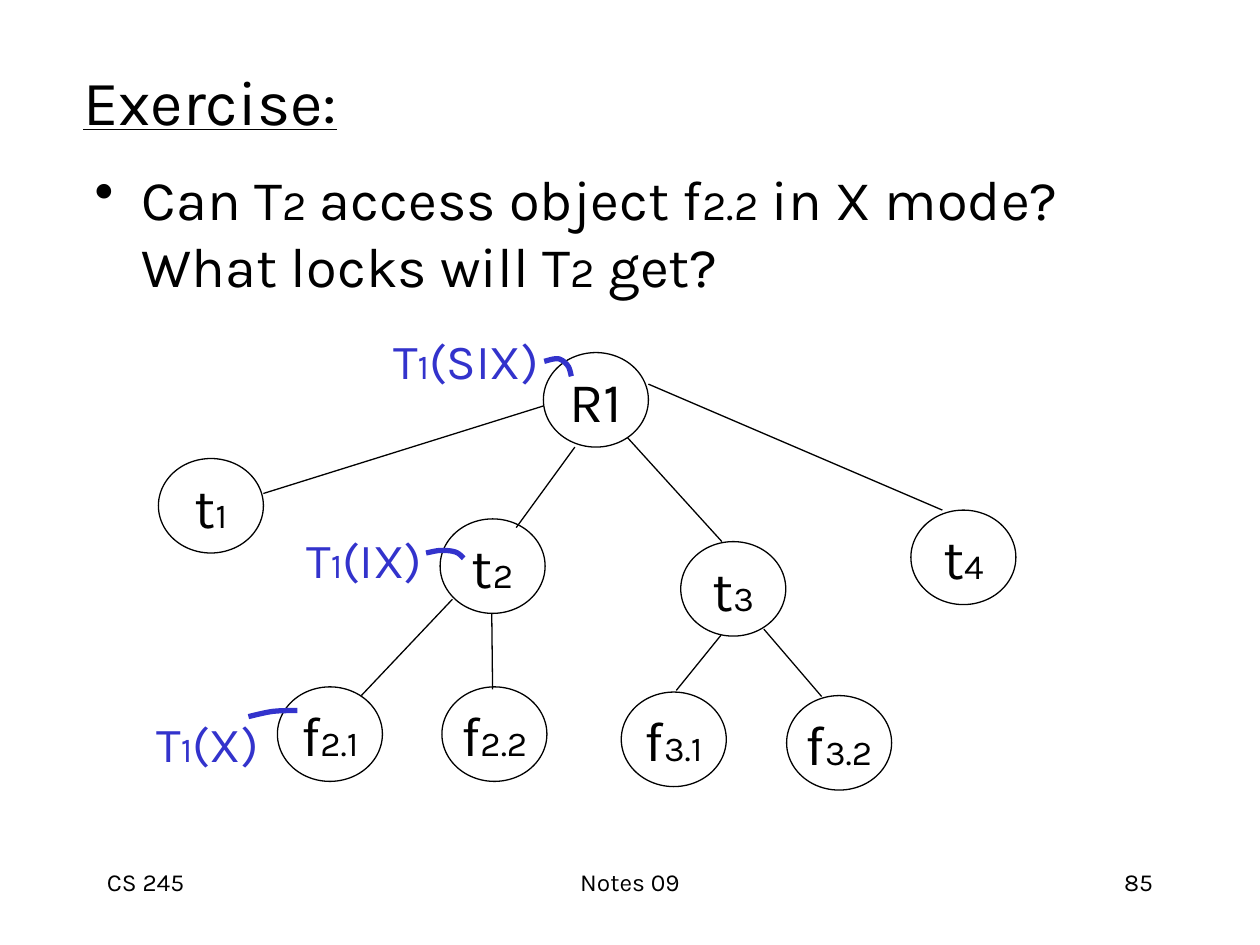
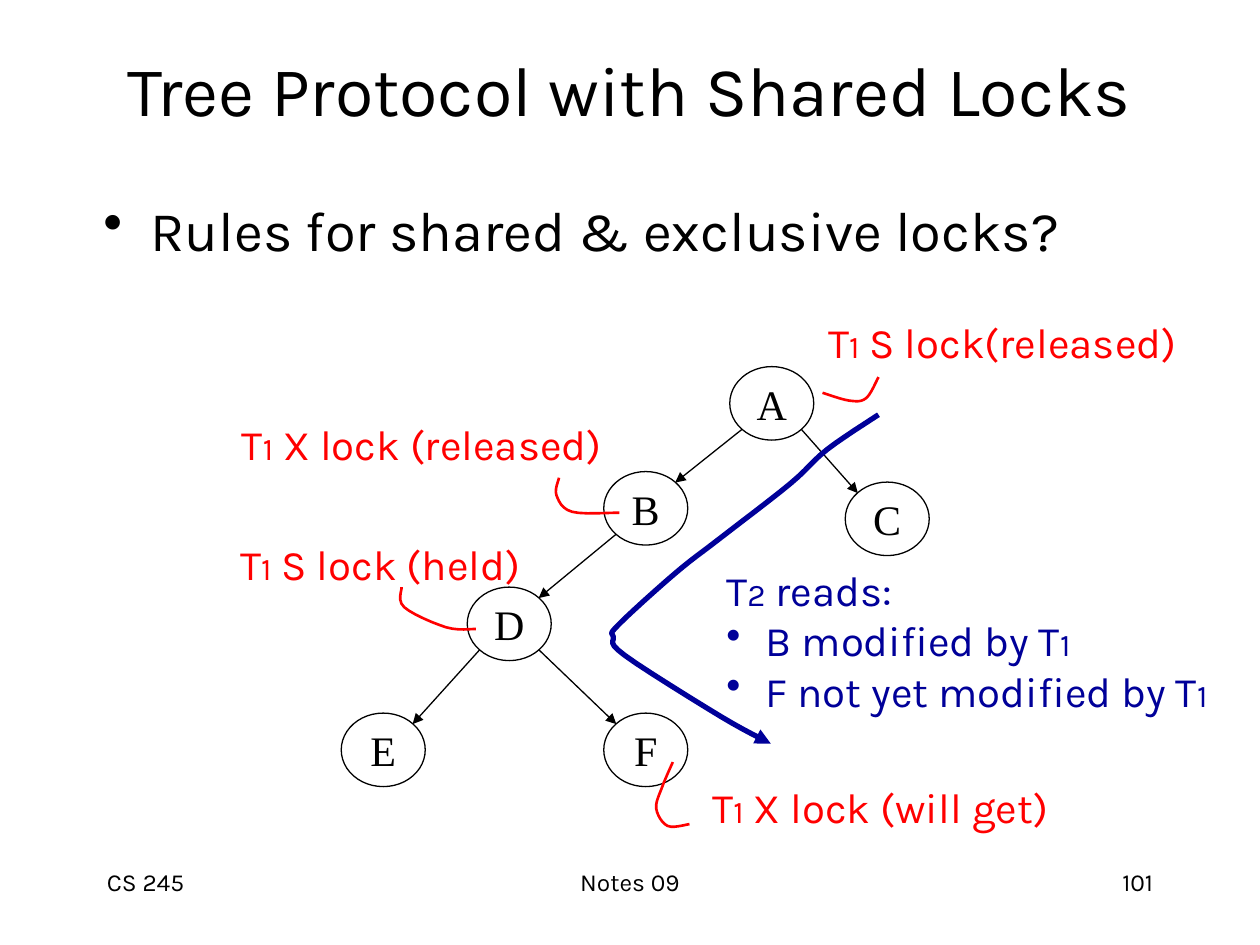
from lxml.etree import SubElement
from pptx import Presentation
from pptx.dml.color import RGBColor
from pptx.enum.shapes import MSO_CONNECTOR, MSO_SHAPE
from pptx.enum.text import MSO_ANCHOR, PP_ALIGN
from pptx.oxml.ns import qn
from pptx.util import Pt

BLACK, WHITE, BLUE, RED, NAVY = "000000", "FFFFFF", "3333CC", "FF0000", "000099"
SANS, SERIF = "Karla", "Times New Roman"
LEFT, CENTER, RIGHT = PP_ALIGN.LEFT, PP_ALIGN.CENTER, PP_ALIGN.RIGHT
TOP, MIDDLE = MSO_ANCHOR.TOP, MSO_ANCHOR.MIDDLE
CURVE_STEPS = 6


def write_text(shape, lines, size, small=0, color=BLACK, font=SANS, align=LEFT,
               anchor=TOP, wrap=True, hang=0, underline=False):
    frame = shape.text_frame
    frame.word_wrap = wrap
    frame.vertical_anchor = anchor
    for index, line in enumerate(lines):
        para = frame.add_paragraph() if index else frame.paragraphs[0]
        para.alignment = align
        if line.startswith("•"):
            line = line[1:]
            properties = para._p.get_or_add_pPr()
            properties.set("marL", str(Pt(hang)))
            properties.set("indent", str(-Pt(hang)))
            SubElement(properties, qn("a:buChar"), char="•")
        for position, text in enumerate(line.split("|")):
            if text:
                span = para.add_run()
                span.text = text
                span.font.name = font
                span.font.size = Pt(small if position % 2 else size)
                span.font.underline = underline
                span.font.color.rgb = RGBColor.from_string(color)


def style_line(shape, color, width, arrow=False):
    shape.line.color.rgb = RGBColor.from_string(color)
    shape.line.width = Pt(width)
    properties = shape._element.spPr
    if arrow:
        SubElement(properties.find(qn("a:ln")), qn("a:tailEnd"), type="triangle")
    if properties.find(qn("a:effectLst")) is None:
        SubElement(properties, qn("a:effectLst"))


lock_exercise = {
    "title": ("Exercise:", (40.5, 31.5, 612, 52), 36, LEFT, True),
    "body": ("•Can T|2| access object f|2.2| in X mode? What locks will T|2| get?",
             (47, 90.5, 612, 90)),
    "number": "85",
    "node_style": (60, 54, 32, 20, SANS),
    "nodes": {
        "R1": (310.5, 201.5), "t|1": (90.5, 262), "t|2": (251.5, 296.5),
        "t|3": (389, 309.5), "t|4": (520.5, 291.5), "f|2.1": (158.5, 392.5),
        "f|2.2": (252.5, 392.5), "f|3.1": (355, 395.5), "f|3.2": (449.5, 397.5),
    },
    "plain_edges": [
        (310.5, 232, 150.5, 282), (328.5, 255.5, 295, 301.5),
        (358.5, 250, 412.5, 309.5), (370.5, 219.5, 538.5, 291.5),
        (258.5, 342.5, 206.5, 397.5), (281, 350.5, 281.5, 394),
        (412, 363, 386.5, 394.5), (436.5, 359.5, 469.5, 398),
    ],
    "arrow_edges": [],
    "label_style": (28, 20, BLUE, 41),
    "labels": [
        ("T|1|(SIX)", 216.5, 185, 99.5),
        ("T|1|(IX)", 166.5, 299, 83.5),
        ("T|1|(X)", 81.5, 404, 74),
    ],
    "strokes": [
        (BLUE, 3, False, [(311, 206.5), (319, 205), (324.5, 209), (326.5, 215)]),
        (BLUE, 3, False, [(243.5, 316), (252, 314.5), (260.5, 315.5), (265, 319)]),
        (BLUE, 3, False, [(142, 409.5), (156, 406.5), (170, 406)]),
    ],
    "notes": [],
}

tree_protocol = {
    "title": ("Tree Protocol with Shared Locks", (53.5, 14.5, 612, 72.5), 40, CENTER, False),
    "body": ("•Rules for shared & exclusive locks?", (52, 108, 612, 52)),
    "number": "101",
    "node_style": (48, 42, 24, 24, SERIF),
    "nodes": {
        "A": (417, 209.5), "B": (345, 269.5), "C": (483, 275.5),
        "D": (267, 335.5), "E": (195, 407.5), "F": (345, 407.5),
    },
    "plain_edges": [],
    "arrow_edges": ["AB", "BD", "DE", "DF", "AC"],
    "label_style": (24, 18, RED, 36),
    "labels": [
        ("T|1| S lock(released)", 463, 177, 219.5),
        ("T|1| S lock (held)", 128, 304, 178.5),
        ("T|1| X lock (released)", 127.5, 235.5, 227),
        ("T|1| X lock (will get)", 397.5, 443, 211),
    ],
    "strokes": [
        (RED, 1.5, False, [(470, 224.5), (485.5, 229), (495, 227.5), (502, 215.5)]),
        (RED, 1.5, False, [(384.5, 435.5), (378.5, 449.5), (375, 462),
                           (381.5, 472), (394, 471)]),
        (RED, 1.5, False, [(272, 359.5), (255, 358.5), (231, 347), (229.5, 335.5)]),
        (RED, 1.5, False, [(319.5, 273), (318, 283), (327, 292.5), (354, 293)]),
        (NAVY, 3, True, [(502, 237), (472.5, 257), (451.5, 276.5), (411, 308),
                         (386, 327.5), (353.5, 357), (350.5, 364), (357, 374.5),
                         (412, 409.5), (440.5, 425)]),
    ],
    "notes": [
        (["T|2| reads:", "•B modified by T|1", "•F not yet modified by T|1"],
         (408, 319, 296.5, 93.5)),
    ],
}

deck = Presentation()
deck.slide_width, deck.slide_height = Pt(720), Pt(540)

for content in (lock_exercise, tree_protocol):
    page = deck.slides.add_slide(deck.slide_layouts[6])
    shapes = page.shapes

    title, place, size, align, underline = content["title"]
    box = shapes.add_textbox(*map(Pt, place))
    write_text(box, [title], size, align=align, anchor=MIDDLE, underline=underline)

    body, place = content["body"]
    box = shapes.add_textbox(*map(Pt, place))
    write_text(box, [body], 32, 24, hang=27)

    width, height, size, small, font = content["node_style"]
    for name, (left, top) in content["nodes"].items():
        node = shapes.add_shape(MSO_SHAPE.OVAL, Pt(left), Pt(top), Pt(width), Pt(height))
        node.shadow.inherit = False
        node.fill.solid()
        node.fill.fore_color.rgb = RGBColor.from_string(WHITE)
        style_line(node, BLACK, 0.75)
        write_text(node, [name], size, small, font=font, align=CENTER,
                   anchor=MIDDLE, wrap=False)

    for ends in content["plain_edges"]:
        edge = shapes.add_connector(MSO_CONNECTOR.STRAIGHT, *map(Pt, ends))
        style_line(edge, BLACK, 0.75)

    for parent, child in content["arrow_edges"]:
        (left, top), (child_left, child_top) = (content["nodes"][key] for key in (parent, child))
        start, end = (0.85, 0.15) if child_left > left else (0.15, 0.85)
        ends = (left + start * width, top + 0.85 * height,
                child_left + end * width, child_top + 0.15 * height)
        edge = shapes.add_connector(MSO_CONNECTOR.STRAIGHT, *map(Pt, ends))
        style_line(edge, BLACK, 0.75, arrow=True)

    size, small, color, height = content["label_style"]
    for label, left, top, width in content["labels"]:
        box = shapes.add_textbox(Pt(left), Pt(top), Pt(width), Pt(height))
        write_text(box, [label], size, small, color, align=CENTER, anchor=MIDDLE, wrap=False)

    for color, width, arrow, points in content["strokes"]:
        padded = [points[0], *points, points[-1]]
        vertices = []
        for before, start, end, after in zip(padded, padded[1:], padded[2:], padded[3:]):
            for step in range(1, CURVE_STEPS + 1):
                t = step / CURVE_STEPS
                vertices.append(tuple(
                    Pt(b + t * (c - a) / 2 + t * t * (a - 2.5 * b + 2 * c - d / 2)
                       + t ** 3 * (3 * b - 3 * c + d - a) / 2)
                    for a, b, c, d in zip(before, start, end, after)))
        builder = shapes.build_freeform(*map(Pt, points[0]))
        builder.add_line_segments(vertices, close=False)
        stroke = builder.convert_to_shape()
        stroke.shadow.inherit = False
        stroke.fill.background()
        style_line(stroke, color, width, arrow)

    for lines, place in content["notes"]:
        box = shapes.add_textbox(*map(Pt, place))
        write_text(box, lines, 24, 18, NAVY, anchor=MIDDLE, hang=22.5)

    for text, left, width, align in (("CS 245", 54, 150, LEFT),
                                     ("Notes 09", 246, 228, CENTER),
                                     (content["number"], 516, 150, RIGHT)):
        box = shapes.add_textbox(Pt(left), Pt(492), Pt(width), Pt(36))
        write_text(box, [text], 14, align=align)

deck.save("out.pptx")
